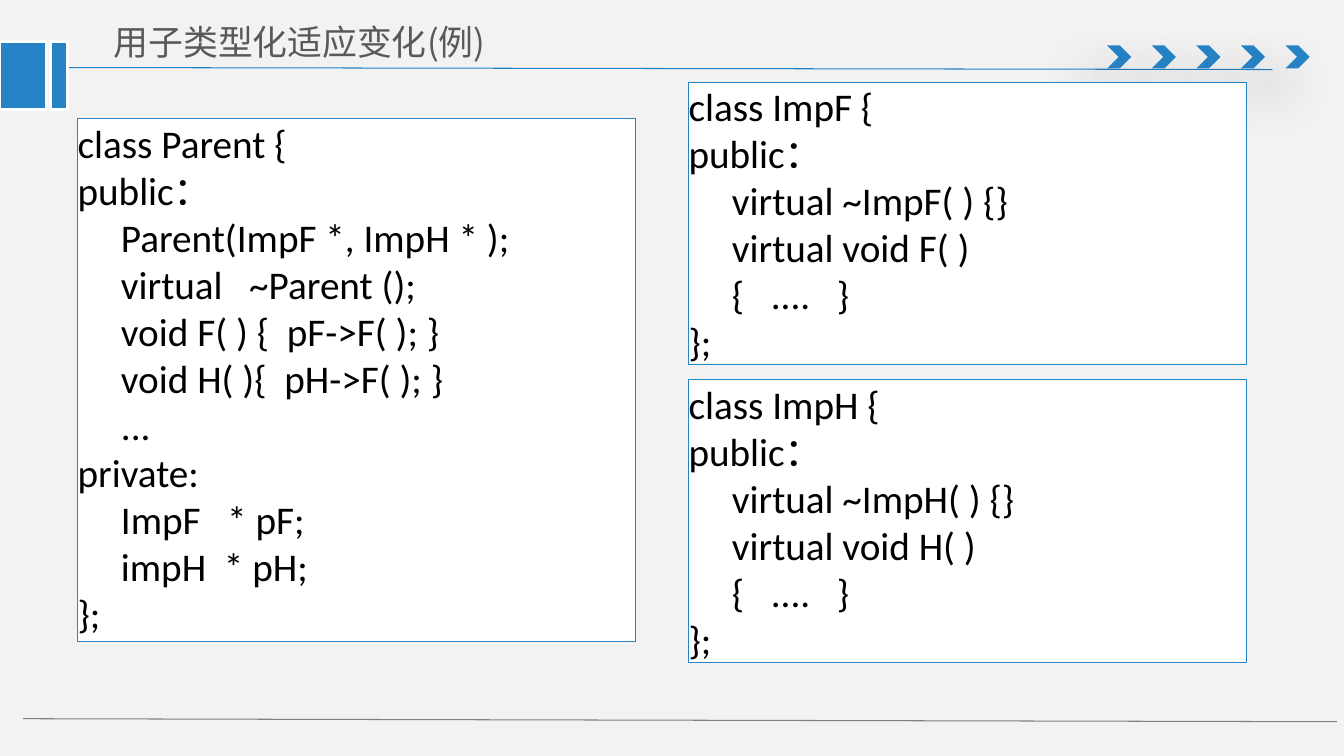
from lxml.etree import SubElement
from pptx import Presentation
from pptx.dml.color import RGBColor
from pptx.enum.shapes import MSO_CONNECTOR, MSO_SHAPE
from pptx.enum.text import MSO_ANCHOR, PP_ALIGN
from pptx.oxml.ns import qn
from pptx.util import Inches, Pt

HUES = {
    "page": "F2F2F2",
    "blue": "2683C6",
    "rule": "2181C6",
    "gray": "808080",
    "title": "595959",
    "white": "FFFFFF",
    "black": "000000",
}
CJK = "Noto Sans CJK SC"
HEAD = {"size": Pt(24.9), "name": CJK}
CODE = {"size": Pt(28), "name": "Calibri"}
FLUSH = {"margin_left": 0, "margin_top": 0, "margin_right": 0,
         "margin_bottom": 0, "word_wrap": True, "vertical_anchor": MSO_ANCHOR.TOP}
PAD = {"margin_left": Inches(0.14), "margin_top": Inches(0.07),
       "margin_right": Inches(0.14), "margin_bottom": Inches(0.07),
       "word_wrap": True, "vertical_anchor": MSO_ANCHOR.MIDDLE}
LINES = {"alignment": PP_ALIGN.LEFT, "line_spacing": Pt(33.6)}

PARENT = [
    "class Parent {",
    "public：\nParent(ImpF *, ImpH * );\nvirtual   ~Parent ();\n"
    "void F( ) {  pF->F( ); }\nvoid H( ){  pH->F( ); }\n...",
    "private:\nImpF   * pF;\nimpH  * pH;",
    "};",
]


def hue(name):
    return RGBColor.from_string(HUES[name])


def apply(item, values):
    for key, value in values.items():
        setattr(item, key, value)


def style(para, values, color):
    for run in para.runs:
        apply(run.font, values)
        run.font.color.rgb = hue(color)
        SubElement(run.font._element, qn("a:ea"), typeface=CJK)


def add_line(slide, start, end, color):
    line = slide.shapes.add_connector(
        MSO_CONNECTOR.STRAIGHT, *map(Inches, start + end))
    line.line.color.rgb = hue(color)
    line.line.width = Pt(0.75)
    SubElement(line._element.spPr, qn("a:effectLst"))


def add_box(slide, kind, area, fill, edge=None, width=0.75):
    box = slide.shapes.add_shape(kind, *map(Inches, area))
    box.shadow.inherit = False
    box.fill.solid()
    box.fill.fore_color.rgb = hue(fill)
    if edge:
        box.line.color.rgb = hue(edge)
        box.line.width = Pt(width)
    else:
        box.line.fill.background()
    return box


def add_arrow(slide, left):
    arrow = add_box(slide, MSO_SHAPE.CHEVRON, (left, 0.45, 0.24, 0.23), "blue")
    glow = SubElement(
        arrow._element.spPr.find(qn("a:effectLst")), qn("a:outerShdw"),
        blurRad=str(Pt(36)), dist=str(Pt(24)), dir=str(130 * 60000),
        rotWithShape="0")
    tint = SubElement(glow, qn("a:srgbClr"), val=HUES["black"])
    SubElement(tint, qn("a:alpha"), val="38000")


def add_title(slide, text):
    box = slide.shapes.add_textbox(*map(Inches, (0.99, 0.14, 4.63, 0.55)))
    apply(box.text_frame, PAD)
    para = box.text_frame.paragraphs[0]
    para.text = text
    style(para, HEAD, "title")


def add_code(slide, left, top, height, parts):
    box = add_box(slide, MSO_SHAPE.RECTANGLE, (left, top, 5.53, height),
                  "white", "blue")
    frame = box.text_frame
    apply(frame, FLUSH)
    for index, part in enumerate(parts):
        para = frame.add_paragraph() if index else frame.paragraphs[0]
        para.text = part
        apply(para, LINES)
        props = para._p.get_or_add_pPr()
        props.set("marL", str(Inches(0.43)))
        props.set("indent", str(Inches(-0.43)))
        style(para, CODE, "black")


def class_parts(mark):
    return [
        f"class Imp{mark} {{",
        f"public：\nvirtual ~Imp{mark}( ) {{}}\n"
        f"virtual void {mark}( )\n{{   ....   }}",
        "};",
    ]


def main():
    deck = Presentation()
    apply(deck, {"slide_width": Inches(13.33), "slide_height": Inches(7.5)})
    slide = deck.slides.add_slide(deck.slide_layouts[6])
    slide.background.fill.solid()
    slide.background.fill.fore_color.rgb = hue("page")

    add_line(slide, (0.53, 0.67), (12.62, 0.69), "rule")
    for step in range(5):
        add_arrow(slide, 10.98 + 0.4425 * step)
    add_line(slide, (0.23, 7.13), (13.26, 7.16), "gray")
    for left, width in ((0, 0.46), (0.5, 0.17)):
        add_box(slide, MSO_SHAPE.RECTANGLE, (left, 0.41, width, 0.68),
                "blue", "white", 2)

    add_title(slide, "用子类型化适应变化(例)")
    add_code(slide, 0.77, 1.18, 5.18, PARENT)
    for mark, top in (("F", 0.82), ("H", 3.77)):
        add_code(slide, 6.83, top, 2.8, class_parts(mark))
    deck.save("out.pptx")


if __name__ == "__main__":
    main()
